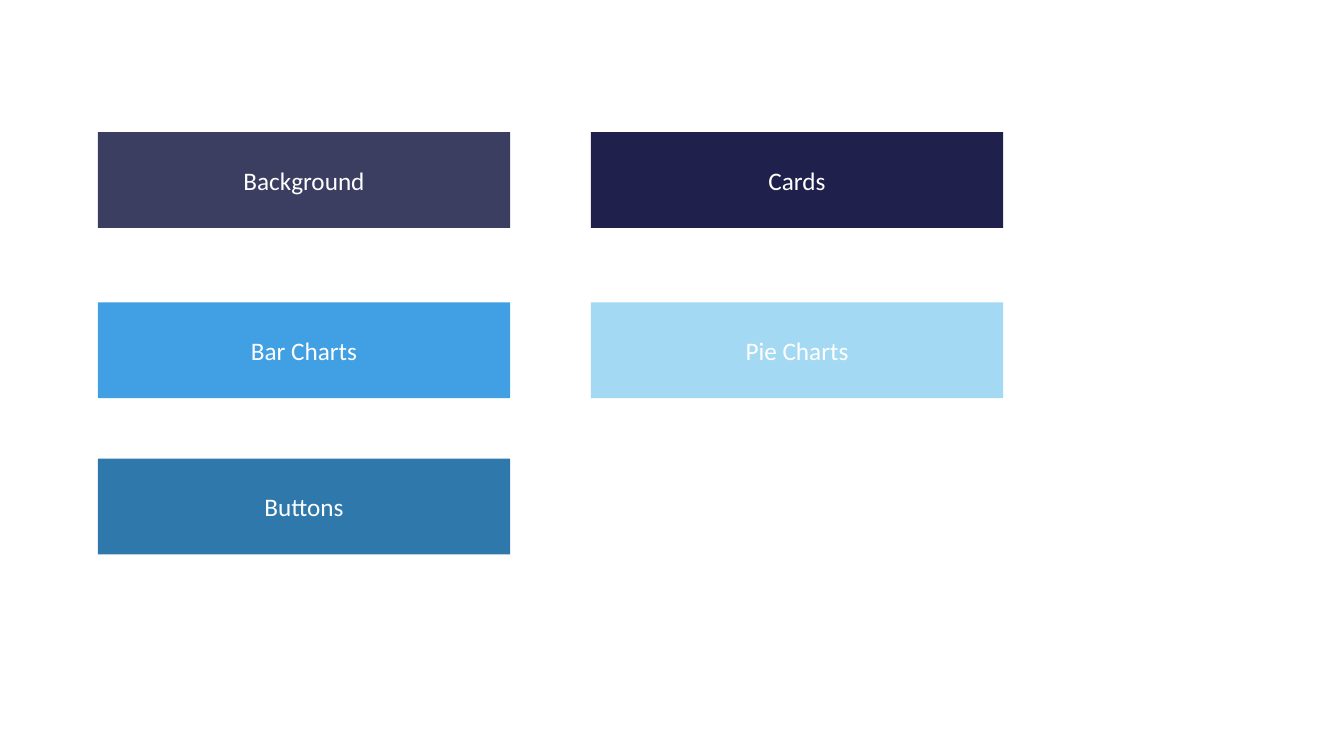
"""Build a slide of labelled colour swatches for a dashboard palette."""
import pptx
import pptx.dml.color
import pptx.enum.shapes
import pptx.enum.text
import pptx.util

Inch = pptx.util.Inches
Color = pptx.dml.color.RGBColor.from_string

COLORS = {
    "Background": "3C3E61",
    "Cards": "20204C",
    "Bar Charts": "419FE3",
    "Pie Charts": "A4D9F4",
    "Buttons": "2F78AB",
    "text": "FFFFFF",
}
GRID = [
    ["Background", "Cards"],
    ["Bar Charts", "Pie Charts"],
    ["Buttons"],
]
SIZE = (13.33, 7.5)
LEFT, PITCH = 0.97, 4.89
TOPS = [1.31, 3, 4.55]
WIDTH, HEIGHT = 4.09, 0.95
FONT = {"name": "Calibri", "size": pptx.util.Pt(18)}


def add_swatch(slide, label, left, top):
    """Add one filled rectangle with its centred label."""
    box = slide.shapes.add_shape(
        pptx.enum.shapes.MSO_SHAPE.RECTANGLE,
        *map(Inch, (left, top, WIDTH, HEIGHT)))
    box.shadow.inherit = False
    box.fill.solid()
    box.fill.fore_color.rgb = Color(COLORS[label])
    box.line.fill.background()
    frame = box.text_frame
    frame.text = label
    frame.vertical_anchor = pptx.enum.text.MSO_ANCHOR.MIDDLE
    line = frame.paragraphs[0]
    line.alignment = pptx.enum.text.PP_ALIGN.CENTER
    font = line.runs[0].font
    for key, value in FONT.items():
        setattr(font, key, value)
    font.color.rgb = Color(COLORS["text"])


def main():
    """Lay the swatches out on the grid and save the deck."""
    deck = pptx.Presentation()
    deck.slide_width, deck.slide_height = map(Inch, SIZE)
    slide = deck.slides.add_slide(deck.slide_layouts.get_by_name("Blank"))
    for top, row in zip(TOPS, GRID):
        for col, label in enumerate(row):
            add_swatch(slide, label, LEFT + col * PITCH, top)
    deck.save("out.pptx")


if __name__ == "__main__":
    main()
